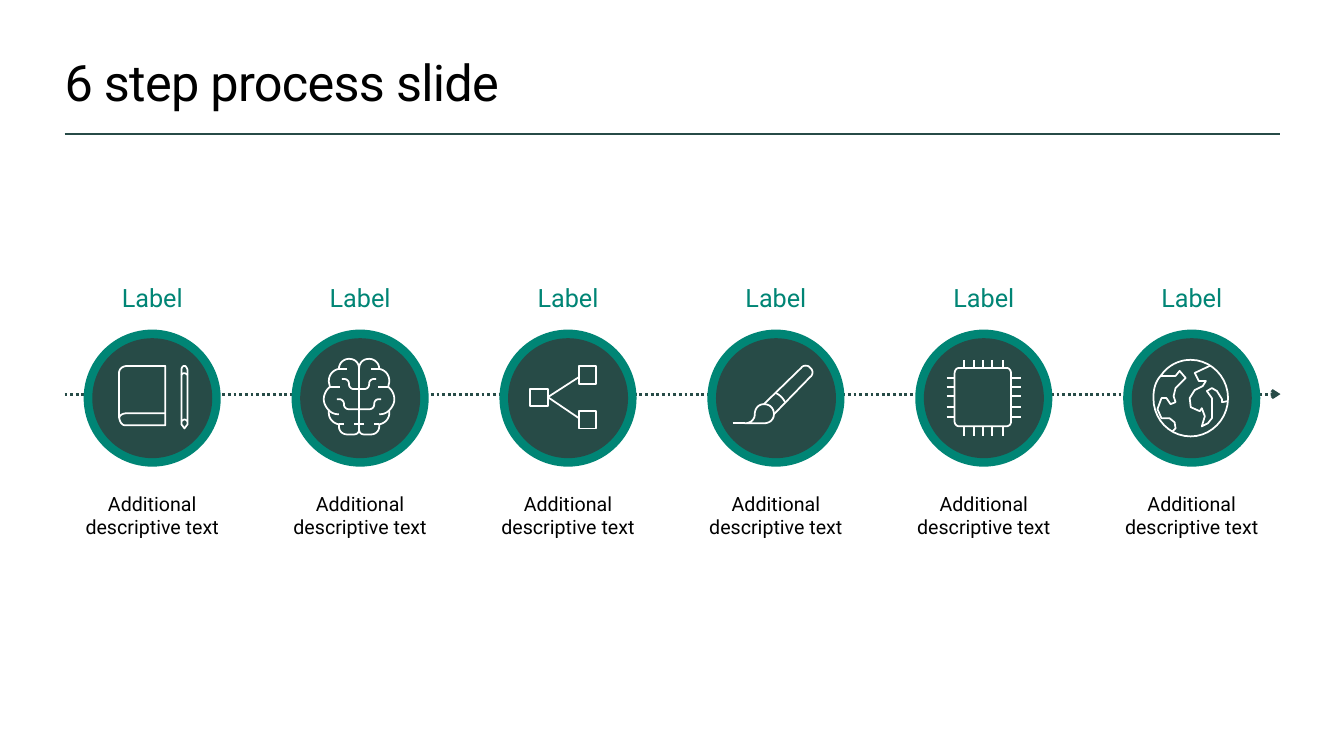
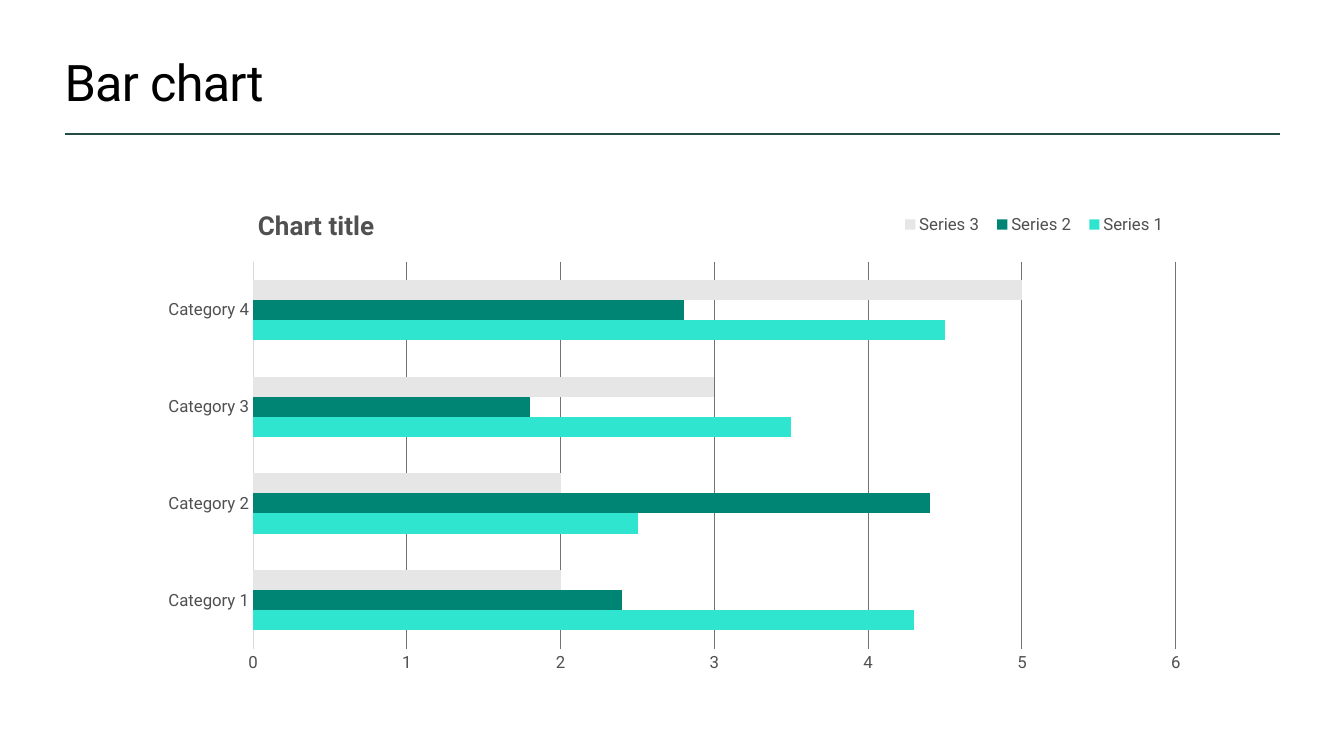
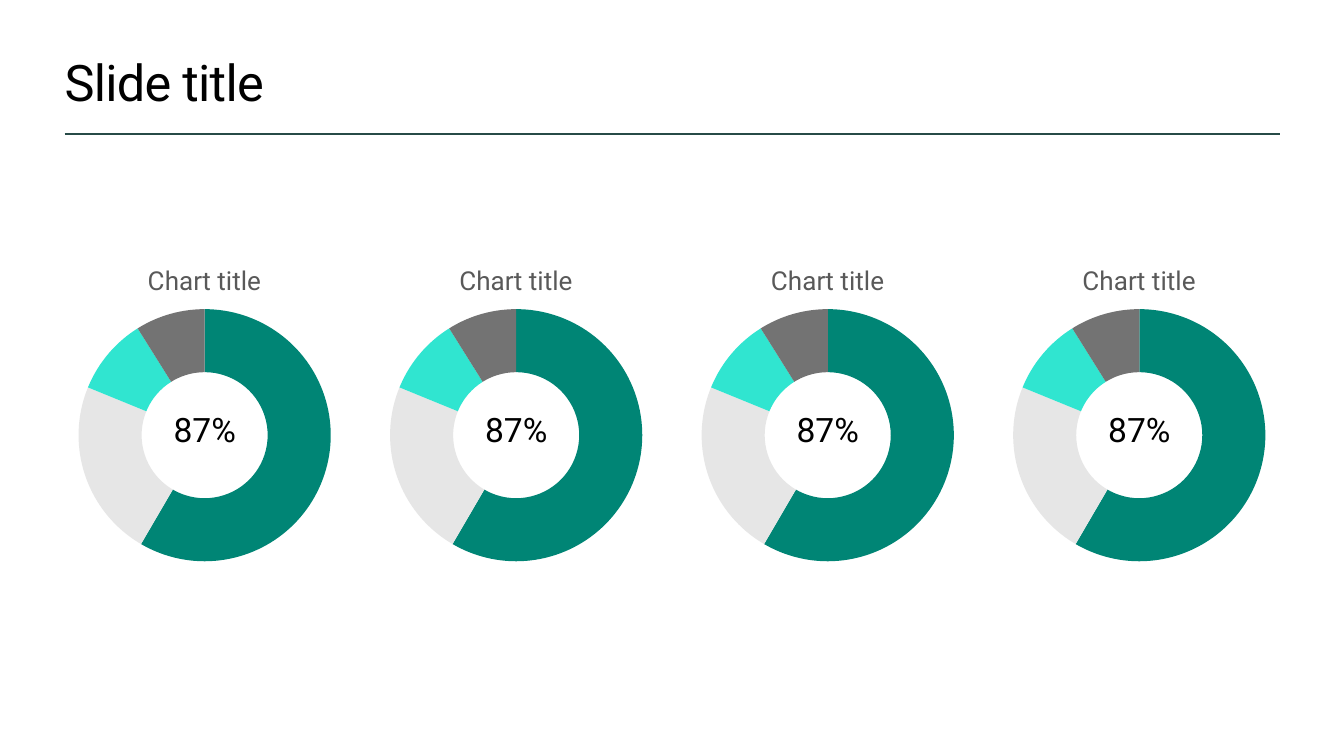
from lxml.etree import SubElement
from pptx import Presentation
from pptx.chart.data import CategoryChartData
from pptx.dml.color import RGBColor
from pptx.enum.chart import XL_CHART_TYPE as ChartType, XL_LEGEND_POSITION as LegendPosition
from pptx.enum.chart import XL_TICK_MARK as TickMark
from pptx.enum.dml import MSO_LINE as Dash
from pptx.enum.shapes import MSO_CONNECTOR as Connector, MSO_SHAPE as Shape
from pptx.enum.text import MSO_ANCHOR as Anchor, PP_ALIGN as Align
from pptx.oxml import parse_xml
from pptx.oxml.ns import nsdecls, qn
from pptx.util import Inches, Pt

FONT = "Roboto"
BLACK, WHITE = "000000", "FFFFFF"
DARK, TEAL, MINT = "274B47", "008575", "30E5D0"
SILVER, GREY, TEXT_GREY, AXIS_GREY = "E6E6E6", "737373", "505050", "D9D9D9"
TITLE_GREY = "595959"

LEFT, WIDTH = 0.64, 12.05
RIGHT = 12.7
CHART_TITLE_SIZE = 18.6

BOOK = """M 81 36 L 81 95 L 41 95 C 41 95 35 95 35 84 L 35 43 C 35 43 35 36 44 36 Z
M 81 83 L 45 83 C 45 83 36 82 35 88
M 100 98 L 103 94 L 103 40 C 103 40 102 36 100 36 C 97 36 97 40 97 40 L 97 94 Z
M 103 45 C 99 41 97 45 97 45 M 103 91 C 100 87 97 91 97 91"""
HALF_BRAIN = """M 47 94 C 41 93 37 88 37 83 C 37 82 37 81 37 80 C 34 77 32 73 32 69
C 32 64 35 59 38 57 C 38 55 37 53 37 51 C 37 45 41 40 47 39
C 47 33 52 29 57 29 C 63 29 67 33 67 39 L 67 94
M 47 94 L 52 94 M 45 69 L 47 69 C 50 69 52 71 52 74 C 52 77 54 79 57 79 L 67 79
M 50 49 L 52 49 C 55 49 57 51 57 54 C 57 57 59 59 62 59 L 67 59
M 37 80 C 40 83 43 84 47 84 M 38 57 L 48 57 M 47 39 L 55 39 M 62 94 L 67 94
M 47 94 L 47 96 C 47 101 51 104 55 104 L 62 104 C 65 104 67 102 67 99 L 67 94"""
NODES = """M 79 36 L 96 36 L 96 54 L 79 54 Z M 79 81 L 96 81 L 96 98 L 79 98 Z
M 30 59 L 48 59 L 48 76 L 30 76 Z M 79 47 L 48 67 L 79 88"""
BRUSH = """M 47 84 C 47 78 51 74 56 74 C 62 74 66 78 66 84 C 66 89 62 93 56 93
L 37 93 C 43 93 47 89 47 84
M 66 84 L 102 47 C 105 45 105 40 102 38 C 100 35 95 35 93 38 L 56 74
M 77 72 C 75 68 72 65 68 63 M 25 93 L 37 93"""
CHIP_BODY = """M 90 96 L 44 96 C 41 96 39 94 39 91 L 39 44 C 39 40 41 38 44 38
L 90 38 C 93 38 95 40 95 44 L 95 91 C 95 94 93 96 90 96 Z"""
GLOBE = """M 30 68 C 30 59 32 51 38 45 C 44 36 55 30 67 30 C 87 30 104 47 104 68
C 104 89 87 106 67 106 C 46 106 30 89 30 68 Z
M 49 101 L 52 98 L 51 92 L 46 88 L 38 88 L 34 79 L 38 68 L 43 68 L 47 74 L 52 72
L 50 66 L 52 58 L 62 48 L 56 41 L 52 46 L 37 46
M 86 36 L 71 43 L 75 51 L 82 51 L 79 56 L 71 60 L 66 68 L 67 77 L 76 81 L 78 78
L 81 86 L 78 96 L 84 93 L 88 88 L 88 68 L 83 61 L 88 58 L 93 61 L 98 69 L 98 72 L 104 71"""


def color(hex_code):
    """Turn a hex string into a colour."""
    return RGBColor.from_string(hex_code)


def read_outline(text):
    """Split outline text into (command, points) steps, in hundredths of an inch."""
    steps = []
    for token in text.split():
        if token.isalpha():
            steps.append((token, []))
        else:
            steps[-1][1].append(float(token))
    return [(command, list(zip(n[::2], n[1::2]))) for command, n in steps]


def brain_outline():
    """Mirror the left half of the brain about its middle."""
    half = read_outline(HALF_BRAIN)
    return half + [(command, [(134 - x, y) for x, y in points]) for command, points in half]


def chip_outline():
    """Give the chip body five pins on each side."""
    pins = []
    for x in (48, 58, 67, 76, 87):
        pins += [((x, 30), (x, 38)), ((x, 96), (x, 106))]
    for y in (48, 57, 66, 77, 87):
        pins += [((31, y), (39, y)), ((95, y), (105, y))]
    return read_outline(CHIP_BODY) + [
        step for start, end in pins for step in (("M", [start]), ("L", [end]))]


def curve_points(start, first, second, end, count=10):
    """Sample a cubic curve."""
    points = []
    for step in range(1, count + 1):
        t = step / count
        weights = ((1 - t) ** 3, 3 * t * (1 - t) ** 2, 3 * t * t * (1 - t), t ** 3)
        points.append(tuple(sum(weight * point[axis] for weight, point in
                                zip(weights, (start, first, second, end))) for axis in (0, 1)))
    return points


def add_icon(shapes, outline, left, top):
    """Draw an outline as one white line shape."""
    strokes = []
    for command, points in outline:
        if command == "M":
            strokes.append([points[0]])
        elif command == "L":
            strokes[-1].append(points[0])
        elif command == "C":
            strokes[-1] += curve_points(strokes[-1][-1], *points)
        else:
            strokes[-1].append(strokes[-1][0])
    scaled = [[(x * 100, y * 100) for x, y in stroke] for stroke in strokes]
    builder = shapes.build_freeform(*scaled[0][0], scale=Inches(1) / 10000)
    for index, stroke in enumerate(scaled):
        if index:
            builder.move_to(*stroke[0])
        builder.add_line_segments(stroke[1:], close=False)
    icon = builder.convert_to_shape(Inches(left), Inches(top))
    icon.shadow.inherit = False
    icon.fill.background()
    icon.line.color.rgb = color(WHITE)
    icon.line.width = Pt(1.25)


def add_circle(shapes, left, top, size, fill):
    """Add a plain filled circle."""
    circle = shapes.add_shape(Shape.OVAL, Inches(left), Inches(top), Inches(size), Inches(size))
    circle.shadow.inherit = False
    circle.fill.solid()
    circle.fill.fore_color.rgb = color(fill)
    circle.line.fill.background()


def add_text(slide, box, text, size, fill=BLACK, align=Align.CENTER, anchor=Anchor.TOP):
    """Add a one-run text box without margins and return its run."""
    frame = slide.shapes.add_textbox(*map(Inches, box)).text_frame
    frame.word_wrap = True
    frame.margin_left = frame.margin_right = frame.margin_top = frame.margin_bottom = 0
    frame.vertical_anchor = anchor
    paragraph = frame.paragraphs[0]
    paragraph.alignment = align
    run = paragraph.add_run()
    run.text = text
    style_font(run.font, size, fill)
    return run


def style_font(font, size, fill, bold=False):
    """Set typeface, size, colour and weight."""
    font.name = FONT
    font.size = Pt(size)
    font.bold = bold
    font.color.rgb = color(fill)


def add_rule(slide, y, arrow=False):
    """Add a horizontal line across the content, dotted with a head if it is an arrow."""
    rule = slide.shapes.add_connector(
        Connector.STRAIGHT, Inches(LEFT), Inches(y), Inches(RIGHT), Inches(y))
    rule.line.color.rgb = color(DARK)
    rule.line.width = Pt(2)
    properties = rule._element.spPr
    if arrow:
        rule.line.dash_style = Dash.ROUND_DOT
        SubElement(properties.find(qn("a:ln")), qn("a:tailEnd"), type="arrow")
    SubElement(properties, qn("a:effectLst"))


def add_titled_slide(presentation, title):
    """Add a blank slide with the shared title and rule."""
    slide = presentation.slides.add_slide(presentation.slide_layouts[6])
    add_rule(slide, 1.33)
    run = add_text(slide, (LEFT, 0.5, WIDTH, 0.61), title, 36,
                   align=Align.LEFT, anchor=Anchor.MIDDLE)
    run.font._element.set("spc", "-50")
    return slide


def add_step(slide, left, top, width, outline):
    """Add one process step: label, icon in a ringed circle, description."""
    ring, disc = 1.36, 1.19
    ring_left, ring_top = left + (width - ring) / 2, top + 0.47
    inset = (ring - disc) / 2
    add_text(slide, (left, top, width, 0.3), "Label", 18, TEAL, anchor=Anchor.BOTTOM)
    shapes = slide.shapes.add_group_shape().shapes
    add_circle(shapes, ring_left, ring_top, ring, TEAL)
    add_circle(shapes, ring_left + inset, ring_top + inset, disc, DARK)
    add_icon(shapes, outline, ring_left, ring_top)
    add_text(slide, (left, top + 2.08, width, 0.47), "Additional descriptive text", 14)


def place_chart_part(part, index, box, inner=False):
    """Fix a chart part at fractions of the chart; a box of two leaves the size free."""
    for old in part.findall(qn("c:layout")):
        part.remove(old)
    layout = parse_xml(f"<c:layout {nsdecls('c')}><c:manualLayout/></c:layout>")
    manual = layout[0]
    if inner:
        SubElement(manual, qn("c:layoutTarget"), val="inner")
    for name in ("xMode", "yMode"):
        SubElement(manual, qn(f"c:{name}"), val="edge")
    for name, value in zip("xywh", box):
        SubElement(manual, qn(f"c:{name}"), val=str(value))
    part.insert(index, layout)


def add_chart(slide, kind, box, data, title_color, bold, title_at, plot_box):
    """Add a chart with a placed title and plot area."""
    chart = slide.shapes.add_chart(kind, *map(Inches, box), data).chart
    style_font(chart.font, 10, BLACK)
    chart.has_legend = False
    chart.has_title = True
    run = chart.chart_title.text_frame.paragraphs[0].add_run()
    run.text = "Chart title"
    style_font(run.font, CHART_TITLE_SIZE, title_color, bold)
    place_chart_part(chart.element.xpath("c:chart/c:title")[0], 1, title_at)
    place_chart_part(chart.element.xpath("c:chart/c:plotArea")[0], 0, plot_box, inner=True)
    return chart


def add_bar_chart(slide, box):
    """Add the clustered bar chart with its legend and axes."""
    data = CategoryChartData()
    data.categories = [f"Category {number}" for number in range(1, 5)]
    data.add_series("Series 1", (4.3, 2.5, 3.5, 4.5))
    data.add_series("Series 2", (2.4, 4.4, 1.8, 2.8))
    data.add_series("Series 3", (2, 2, 3, 5))
    chart = add_chart(slide, ChartType.BAR_CLUSTERED, box, data, TEXT_GREY, True,
                      (0.1, 0.03), (0.1, 0.14, 0.88, 0.73))
    chart.has_legend = True
    chart.legend.position = LegendPosition.BOTTOM
    chart.legend.include_in_layout = False
    style_font(chart.legend.font, 12, TEXT_GREY)
    place_chart_part(chart.element.xpath("c:chart/c:legend")[0], 1, (0.71, 0.03, 0.27, 0.08))
    plot = chart.plots[0]
    plot.vary_by_categories = False
    plot.gap_width = 182
    for series, fill in zip(plot.series, (MINT, TEAL, SILVER)):
        series.format.fill.solid()
        series.format.fill.fore_color.rgb = color(fill)
    for axis in (chart.category_axis, chart.value_axis):
        axis.major_tick_mark = axis.minor_tick_mark = TickMark.NONE
        style_font(axis.tick_labels.font, 12, TEXT_GREY)
    category_line = chart.category_axis.format.line
    category_line.color.rgb = color(AXIS_GREY)
    category_line.width = Pt(0.75)
    values = chart.value_axis
    values.minimum_scale, values.maximum_scale, values.major_unit = 0, 6, 1
    values.format.line.fill.background()
    values.has_major_gridlines = True
    values.major_gridlines.format.line.color.rgb = color(GREY)
    values.major_gridlines.format.line.width = Pt(0.75)


def add_doughnut(slide, left, top, width, height):
    """Add a doughnut chart with a percentage in its hole."""
    data = CategoryChartData()
    data.categories = ["1", "2", "3", "4"]
    data.add_series("Series 1", (59, 23, 10, 9))
    chart = add_chart(slide, ChartType.DOUGHNUT, (left, top, width, height), data, TITLE_GREY,
                      False, (0.28, 0.17), (0.05, 0.28, 0.9, 0.57))
    plot = chart.plots[0]
    plot.vary_by_categories = True
    for index, fill in enumerate((TEAL, SILVER, MINT, GREY)):
        point = plot.series[0].points[index].format
        point.fill.solid()
        point.fill.fore_color.rgb = color(fill)
        point.line.fill.background()
    add_text(slide, (left + (width - 1.25) / 2, top + 2.25, 1.25, 0.4), "87%", 24)


def build_process_slide(presentation):
    """Build the six-step process."""
    slide = add_titled_slide(presentation, "6 step process slide")
    add_rule(slide, 3.91, arrow=True)
    outlines = (read_outline(BOOK), brain_outline(), read_outline(NODES),
                read_outline(BRUSH), chip_outline(), read_outline(GLOBE))
    width = 1.74
    pitch = (WIDTH - width) / (len(outlines) - 1)
    for index, outline in enumerate(outlines):
        add_step(slide, LEFT + index * pitch, 2.8, width, outline)


def build_bar_slide(presentation):
    """Build the bar chart slide."""
    add_bar_chart(add_titled_slide(presentation, "Bar chart"), (1.47, 1.86, 10.4, 5.26))


def build_doughnut_slide(presentation):
    """Build the row of four doughnuts."""
    slide = add_titled_slide(presentation, "Slide title")
    width, count = 2.78, 4
    pitch = (WIDTH - width) / (count - 1)
    for index in range(count):
        add_doughnut(slide, LEFT + index * pitch, 1.81, width, 4.44)


def main():
    """Build and save the presentation."""
    presentation = Presentation()
    presentation.slide_width, presentation.slide_height = Inches(13.33), Inches(7.5)
    build_process_slide(presentation)
    build_bar_slide(presentation)
    build_doughnut_slide(presentation)
    presentation.save("out.pptx")


if __name__ == "__main__":
    main()
